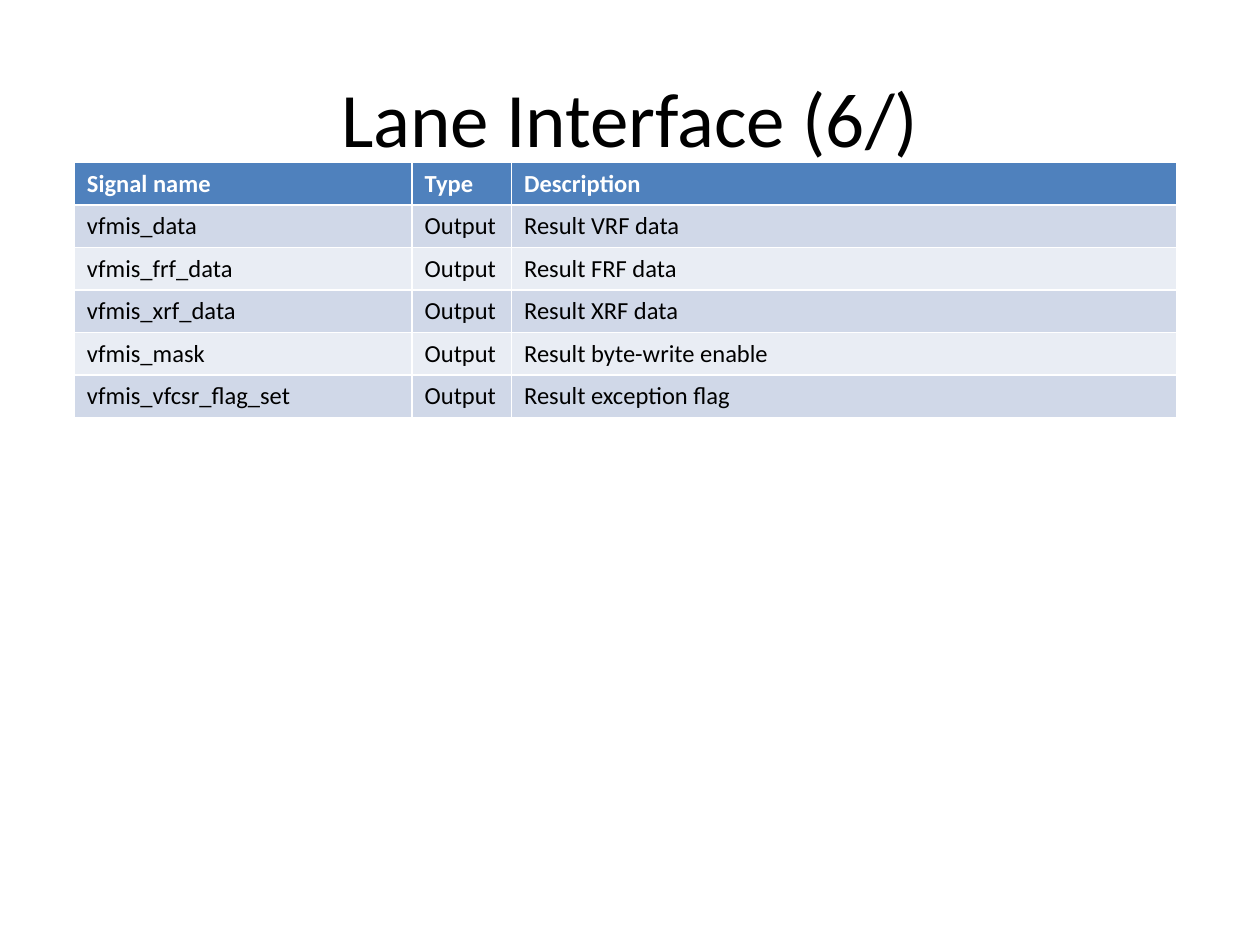
from pptx import Presentation
from pptx.dml.color import RGBColor
from pptx.enum import text
from pptx.util import Inches, Pt

# Content
TITLE = "Lane Interface (6/)"
HEADER = ("Signal name", "Type", "Description")
SIGNALS = [
    ("vfmis_data", "Output", "Result VRF data"),
    ("vfmis_frf_data", "Output", "Result FRF data"),
    ("vfmis_xrf_data", "Output", "Result XRF data"),
    ("vfmis_mask", "Output", "Result byte-write enable"),
    ("vfmis_vfcsr_flag_set", "Output", "Result exception flag"),
]
COL_WIDTHS = (2.68, 0.79, 5.28)
ROW_HEIGHT = 0.33
FONT = "Calibri"
COLORS = {"header": "4F81BD", "odd": "D0D8E8", "even": "E9EDF4",
          "white": "FFFFFF", "black": "000000"}


def format_runs(p, size, color, bold=False):
    for r in p.runs:
        r.font.name = FONT
        r.font.size = Pt(size)
        r.font.bold = bold
        r.font.color.rgb = RGBColor.from_string(COLORS[color])


prs = Presentation()
prs.slide_width, prs.slide_height = Inches(10), Inches(7.5)
s = prs.slides.add_slide(prs.slide_layouts[5])

# Title
title = s.shapes.title
title.left, title.top = Inches(0.5), Inches(0.3)
title.width, title.height = Inches(9), Inches(1.25)
tf = title.text_frame
tf.text = TITLE
tf.vertical_anchor = text.MSO_ANCHOR.MIDDLE
tf.paragraphs[0].alignment = text.PP_ALIGN.CENTER
format_runs(tf.paragraphs[0], 44, "black")

# Signal table: the default table style draws the white cell borders
rows = [HEADER] + SIGNALS
table = s.shapes.add_table(
    len(rows), len(HEADER), Inches(0.59), Inches(1.29),
    Inches(sum(COL_WIDTHS)), Inches(ROW_HEIGHT * len(rows))).table
for column, width in zip(table.columns, COL_WIDTHS):
    column.width = Inches(width)

for i, row in enumerate(rows):
    table.rows[i].height = Inches(ROW_HEIGHT)
    is_header = i == 0
    fill = "header" if is_header else ("odd" if i % 2 else "even")
    for j, value in enumerate(row):
        cell = table.cell(i, j)
        cell.fill.solid()
        cell.fill.fore_color.rgb = RGBColor.from_string(COLORS[fill])
        cell.text_frame.text = value
        format_runs(cell.text_frame.paragraphs[0], 14,
                    "white" if is_header else "black", is_header)

prs.save("out.pptx")
